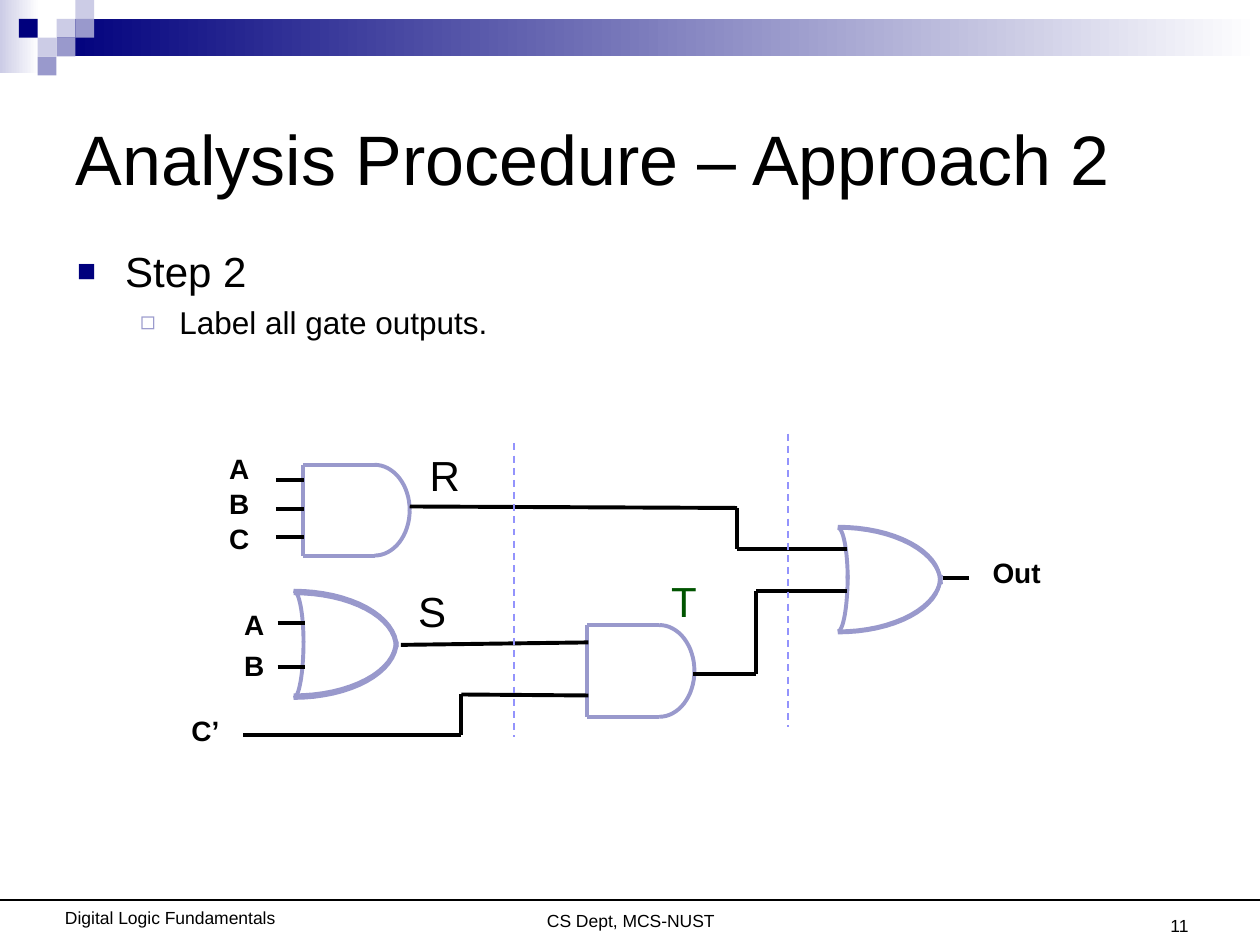
from itertools import pairwise
from math import cos, pi, sin

from lxml import etree
from pptx import Presentation
from pptx.dml.color import RGBColor
from pptx.enum.dml import MSO_LINE
from pptx.enum.shapes import MSO_CONNECTOR, MSO_SHAPE
from pptx.enum.text import MSO_ANCHOR, MSO_AUTO_SIZE, PP_ALIGN
from pptx.oxml.ns import qn
from pptx.util import Cm, Pt

RECTANGLE = MSO_SHAPE.RECTANGLE
STRAIGHT = MSO_CONNECTOR.STRAIGHT
DASH = MSO_LINE.DASH
TOP, MIDDLE, BOTTOM = MSO_ANCHOR.TOP, MSO_ANCHOR.MIDDLE, MSO_ANCHOR.BOTTOM
LEFT, CENTER, RIGHT = PP_ALIGN.LEFT, PP_ALIGN.CENTER, PP_ALIGN.RIGHT
NO_AUTOFIT = MSO_AUTO_SIZE.NONE

BLACK = RGBColor(0x00, 0x00, 0x00)
WHITE = RGBColor(0xFF, 0xFF, 0xFF)
NAVY = RGBColor(0x00, 0x00, 0x7D)
LAVENDER = RGBColor(0x99, 0x99, 0xCC)
PALE = RGBColor(0xCC, 0xCC, 0xE6)
GREEN = RGBColor(0x00, 0x54, 0x00)
DASH_BLUE = RGBColor(0x93, 0x93, 0xFC)

FONT = "Arial"
TILE = 0.38
ARC_STEPS = 16
STROKE = 2.25

# column, row, colour on the header's tile grid
TILES = [(3, 1, PALE), (4, 0, PALE), (4, 1, LAVENDER), (2, 2, PALE),
         (1, 1, NAVY), (3, 2, LAVENDER), (2, 3, LAVENDER)]

WIRES = [
    [(19, 11.66), (19.53, 11.66)],
    *[[(5.56, y), (6.12, y)] for y in (9.68, 10.26, 10.82)],
    *[[(5.6, y), (6.14, y)] for y in (12.55, 13.44)],
    [(4.9, 14.81), (9.3, 14.81), (9.3, 14), (11.86, 14.02)],
    [(8.08, 13), (11.86, 12.95)],
    [(8.26, 10.21), (14.86, 10.24), (14.86, 11.07), (17.07, 11.07)],
    [(13.97, 13.59), (15.24, 13.59), (15.24, 11.91), (17.07, 11.91)],
]

# text, left, top, width
INPUT_LABELS = [("A", 4.37, 8.97, 0.91), ("B", 4.37, 9.68, 0.91),
                ("C", 4.37, 10.39, 0.91), ("A", 4.67, 12.12, 0.91),
                ("B", 4.67, 12.95, 0.91), ("C’", 3.61, 14.25, 1.07),
                ("Out", 19.76, 11.07, 1.47)]
# text, left, top, width, colour
GATE_LABELS = [("R", 8.41, 8.94, 1.12, BLACK), ("S", 8.18, 11.68, 1.07, BLACK),
               ("T", 13.28, 11.48, 1.02, GREEN)]


def apply(target, values):
    for key, value in values.items():
        setattr(target, key, value)


def place(shape, left, top, width, height):
    apply(shape, {"left": Cm(left), "top": Cm(top),
                  "width": Cm(width), "height": Cm(height)})


def style_font(font, size, color=BLACK, bold=False):
    apply(font, {"name": FONT, "size": Pt(size), "bold": bold})
    font.color.rgb = color


def add_block(slide, left, top, width, height, color, fade=False):
    """Add a borderless rectangle, fading to white on the right if asked."""
    block = slide.shapes.add_shape(
        RECTANGLE, Cm(left), Cm(top), Cm(width), Cm(height))
    block.shadow.inherit = False
    block.line.fill.background()
    if fade:
        block.fill.gradient()
        block.fill.gradient_angle = 0
        for stop, stop_color in zip(block.fill.gradient_stops, (color, WHITE)):
            stop.color.rgb = stop_color
    else:
        block.fill.solid()
        block.fill.fore_color.rgb = color


def add_line(slide, start, end, color=BLACK, width=STROKE, dash=None):
    line = slide.shapes.add_connector(
        STRAIGHT, *(Cm(value) for value in (*start, *end)))
    line.line.color.rgb = color
    line.line.width = Pt(width)
    if dash:
        line.line.dash_style = dash
    etree.SubElement(line._element.spPr, qn("a:effectLst"))


def add_path(slide, points, color=BLACK):
    for start, end in pairwise(points):
        add_line(slide, start, end, color)


def add_arc(slide, left, top, width, height, lower=False):
    """Add the right upper or right lower quarter of an ellipse."""
    points = []
    for step in range(ARC_STEPS + 1):
        angle = step / ARC_STEPS * pi / 2
        drop = height * cos(angle) if lower else height * (1 - cos(angle))
        across = sin(angle)
        y = top + height - drop if lower and False else top + drop
        points.append((Cm(left + width * across), Cm(y)))
    builder = slide.shapes.build_freeform(*points[0])
    builder.add_line_segments(points[1:], close=False)
    arc = builder.convert_to_shape()
    arc.shadow.inherit = False
    arc.fill.background()
    arc.line.color.rgb = LAVENDER
    arc.line.width = Pt(STROKE)


def add_arc_pair(slide, left, top, bottom, width, upper_height, lower_height):
    add_arc(slide, left, top, width, upper_height)
    add_arc(slide, left, bottom - lower_height, width, lower_height, lower=True)


def add_and_gate(slide, left, top, bottom):
    shoulder = left + 1.45
    half = (bottom - top) / 2
    add_path(slide, [(shoulder, top), (left, top), (left, bottom),
                     (shoulder, bottom)], LAVENDER)
    add_arc_pair(slide, shoulder, top, bottom, 0.71, half, half)


def add_or_gate(slide, left, top, bottom, inset):
    """Add a doubled front curve, its second line inset, and a back curve."""
    add_arc_pair(slide, left, top + inset, bottom - inset, 2.06, 1.09, 1.09)
    add_arc_pair(slide, left, top, bottom, 2.08, 1.14, 1.14)
    add_arc_pair(slide, left, top, bottom, 0.2, 1.04, 1.14)


def add_text(slide, text, box, size, color=BLACK, bold=False, wrap=False,
             align=LEFT, anchor=TOP, inset_top=0.13):
    label = slide.shapes.add_textbox(*(Cm(value) for value in box))
    frame = label.text_frame
    apply(frame, {"word_wrap": wrap, "vertical_anchor": anchor,
                  "margin_top": Cm(inset_top)})
    paragraph = frame.paragraphs[0]
    paragraph.text = text
    paragraph.alignment = align
    style_font(paragraph.runs[0].font, size, color, bold)


def set_bullet(paragraph, char, color, percent, indent, hanging):
    props = paragraph._p.get_or_add_pPr()
    props.set("marL", str(Cm(indent)))
    props.set("indent", str(-Cm(hanging)))
    bullet_color = etree.SubElement(props, qn("a:buClr"))
    etree.SubElement(bullet_color, qn("a:srgbClr"), val=str(color))
    etree.SubElement(props, qn("a:buSzPct"), val=str(percent * 1000))
    etree.SubElement(props, qn("a:buFont"), typeface=FONT)
    etree.SubElement(props, qn("a:buChar"), char=char)


def fill_placeholders(slide):
    title, body = slide.placeholders
    place(title, 1.27, 1.27, 22.86, 3.81)
    title.text_frame.text = "Analysis Procedure – Approach 2"
    apply(title.text_frame, {"vertical_anchor": MIDDLE, "auto_size": NO_AUTOFIT})
    heading = title.text_frame.paragraphs[0]
    heading.alignment = LEFT
    style_font(heading.runs[0].font, 40)

    place(body, 1.3, 4.72, 22.86, 3.4)
    body.text_frame.text = "Step 2\nLabel all gate outputs."
    apply(body.text_frame, {"auto_size": NO_AUTOFIT, "margin_top": Cm(0.22)})
    step, detail = body.text_frame.paragraphs
    detail.level = 1
    set_bullet(step, "■", NAVY, 75, 0.97, 0.97)
    set_bullet(detail, "◻", LAVENDER, 80, 2.06, 0.79)
    for paragraph, size, before in ((step, 24, 0), (detail, 18, 4.5)):
        paragraph.space_before = Pt(before)
        style_font(paragraph.runs[0].font, size)


def add_header(slide):
    add_block(slide, 0, 0, 0.79, 1.47, PALE, fade=True)
    add_block(slide, 3 * TILE, TILE, 24.26, 2 * TILE, NAVY, fade=True)
    for column, row, color in TILES:
        add_block(slide, column * TILE, row * TILE, TILE, TILE, color)


def add_footer(slide):
    for text, box in (("CS Dept, MCS-NUST", (7.42, 17.4, 10.59, 1.27)),
                      ("Digital Logic Fundamentals", (0.89, 17.35, 5.08, 1.27))):
        add_text(slide, text, box, 10, wrap=True, align=CENTER, inset_top=0.94)
    add_line(slide, (0, 18.14), (25.4, 18.14), width=0.75)
    add_text(slide, "11", (18.29, 17.73, 5.92, 1.27), 10, wrap=True,
             align=RIGHT, anchor=BOTTOM)


def add_circuit(slide):
    add_or_gate(slide, 16.89, 10.64, 12.73, -0.02)
    add_or_gate(slide, 5.92, 11.91, 14.07, 0.05)
    add_and_gate(slide, 11.84, 12.6, 14.45)
    add_and_gate(slide, 6.1, 9.37, 11.2)
    for points in WIRES:
        add_path(slide, points)
    for text, left, top, width in INPUT_LABELS:
        add_text(slide, text, (left, top, width, 0.94), 16, bold=True)
    for text, left, top, width, color in GATE_LABELS:
        add_text(slide, text, (left, top, width, 1.27), 24, color)
    for x, top in ((10.36, 8.94), (15.88, 8.74)):
        add_line(slide, (x, top), (x, top + 5.92), DASH_BLUE, 1, DASH)


def main():
    deck = Presentation()
    apply(deck, {"slide_width": Cm(25.4), "slide_height": Cm(19.05)})
    slide = deck.slides.add_slide(deck.slide_layouts[1])
    add_header(slide)
    fill_placeholders(slide)
    add_footer(slide)
    add_circuit(slide)
    deck.save("out.pptx")


if __name__ == "__main__":
    main()
